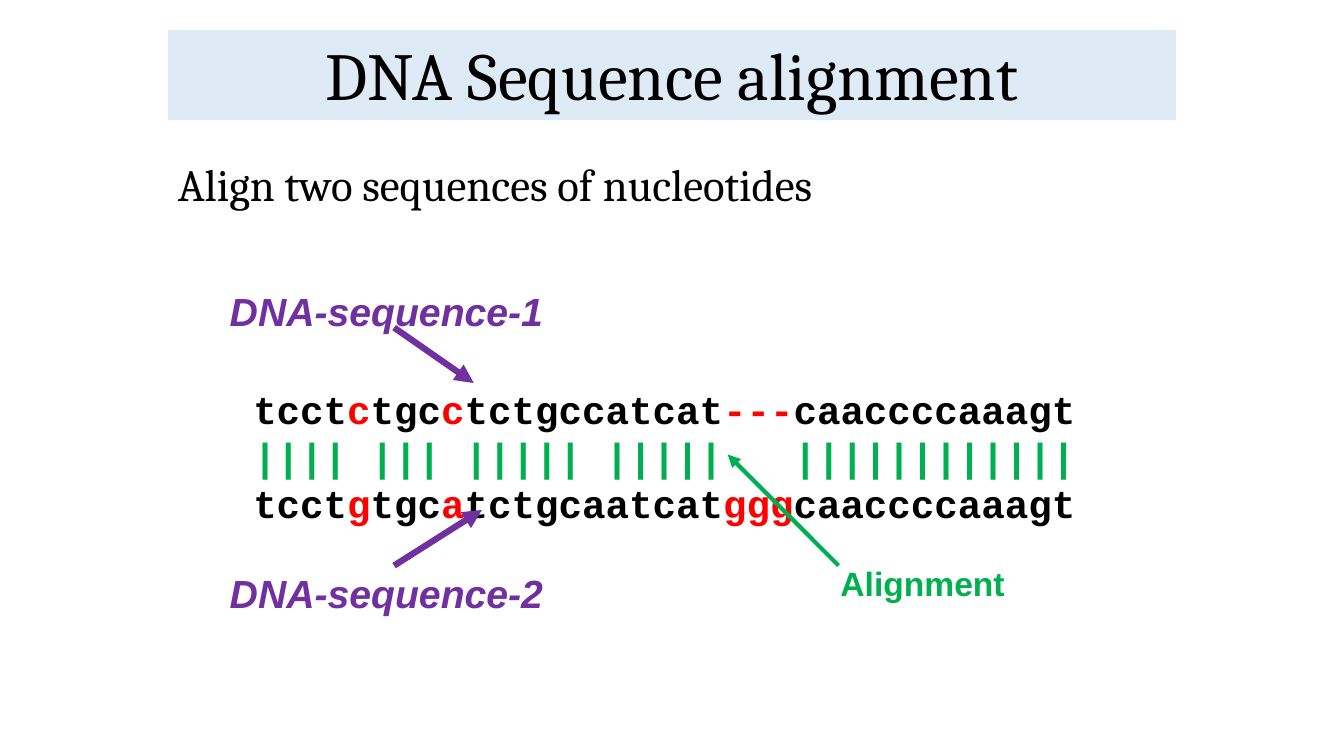
from itertools import groupby
from pptx import Presentation
from pptx.dml.color import RGBColor
from pptx.enum.shapes import MSO_CONNECTOR, MSO_SHAPE
from pptx.enum.text import MSO_ANCHOR, PP_ALIGN
from pptx.oxml.ns import qn
from pptx.util import Pt
from lxml.etree import SubElement

TITLE = "DNA Sequence alignment"
SUBTITLE = "Align two sequences of nucleotides"
LABELS = ["DNA-sequence-1", "DNA-sequence-2"]
ALIGNMENT_LABEL = "Alignment"
# Parts alternate between plain and highlighted
SEQUENCES = [
    ["tcct", "c", "tgc", "c", "tctgccatcat", "---", "caaccccaaagt"],
    ["tcct", "g", "tgc", "a", "tctgcaatcat", "ggg", "caaccccaaagt"],
]

THEME = {
    "black": RGBColor(0x00, 0x00, 0x00),
    "red": RGBColor(0xFF, 0x00, 0x00),
    "green": RGBColor(0x00, 0xB0, 0x50),
    "purple": RGBColor(0x70, 0x30, 0xA0),
    "band": RGBColor(0xDE, 0xEB, 0xF7),
    "serif": "Cambria", "sans": "Arial", "mono": "Courier New",
    "title": 48, "subtitle": 32, "sequence": 28, "note": 24,
}
LETTER_WIDTH = 0.6 * THEME["sequence"]
LINE_HEIGHT = 1.2 * THEME["sequence"]
GAP_BEFORE_SEQUENCES = 36
GAP_AFTER_SEQUENCES = 31

# Left, top, width, height
TITLE_BOX = (120, 21.6, 720, 64.2)
SUBTITLE_BOX = (120, 108.7, 508, 46)
ALIGNMENT_BOX = (157, 202, 646.6, 276.5)
NOTE_BOX = (593.3, 398.2, 133, 36.7)
# Start x, start y, end x, end y, colour, line width
ARROWS = [
    (281.5, 234, 338.4, 273.6, "purple", 4.5),
    (281.5, 404, 344.2, 364.3, "purple", 4.5),
    (599, 404, 519.8, 324.7, "green", 3),
]


def add_run(paragraph, text, size, font, color, bold=False, italic=False):
    run = paragraph.add_run()
    run.text = text
    run.font.size = Pt(THEME[size])
    run.font.name = THEME[font]
    run.font.color.rgb = THEME[color]
    run.font.bold = bold
    run.font.italic = italic
    return run


def add_text_box(slide, box, wrap):
    text_frame = slide.shapes.add_textbox(*map(Pt, box)).text_frame
    text_frame.word_wrap = wrap
    return text_frame


def add_title(slide):
    shape = slide.shapes.add_shape(MSO_SHAPE.RECTANGLE, *map(Pt, TITLE_BOX))
    shape.shadow.inherit = False
    shape.fill.solid()
    shape.fill.fore_color.rgb = THEME["band"]
    shape.line.fill.background()
    shape.text_frame.word_wrap = True
    shape.text_frame.vertical_anchor = MSO_ANCHOR.BOTTOM
    paragraph = shape.text_frame.paragraphs[0]
    paragraph.alignment = PP_ALIGN.CENTER
    paragraph.line_spacing = 0.9
    add_run(paragraph, TITLE, "title", "serif", "black")


def add_sequence(paragraph, parts):
    for index, part in enumerate(parts):
        color = "red" if index % 2 else "black"
        add_run(paragraph, part, "sequence", "mono", color, bold=True)


def add_match_bars(paragraph):
    """Mark equal letters with bars; one widened space spans each mismatch."""
    first, second = map("".join, SEQUENCES)
    pairs = zip(first, second)
    for matches, group in groupby(pairs, lambda pair: pair[0] == pair[1]):
        count = len(list(group))
        text = "|" * count if matches else " "
        run = add_run(paragraph, text, "sequence", "mono", "green", bold=True)
        if not matches and count > 1:
            spacing = round((count - 1) * LETTER_WIDTH * 100)
            run.font._element.set("spc", str(spacing))


def add_alignment(slide):
    text_frame = add_text_box(slide, ALIGNMENT_BOX, wrap=True)
    paragraphs = [text_frame.paragraphs[0]]
    paragraphs += [text_frame.add_paragraph() for _ in range(4)]
    for paragraph in paragraphs:
        paragraph.line_spacing = Pt(LINE_HEIGHT)
    top_label, top, bars, bottom, bottom_label = paragraphs
    for paragraph in (top, bars, bottom):
        paragraph._p.get_or_add_pPr().set("marL", str(Pt(LETTER_WIDTH)))
    top.space_before = Pt(GAP_BEFORE_SEQUENCES)
    bottom_label.space_before = Pt(GAP_AFTER_SEQUENCES)
    for paragraph, label in zip((top_label, bottom_label), LABELS):
        add_run(paragraph, label, "sequence", "sans", "purple", bold=True, italic=True)
    for paragraph, parts in zip((top, bottom), SEQUENCES):
        add_sequence(paragraph, parts)
    add_match_bars(bars)


def add_arrow(slide, start_x, start_y, end_x, end_y, color, width):
    ends = map(Pt, (start_x, start_y, end_x, end_y))
    connector = slide.shapes.add_connector(MSO_CONNECTOR.STRAIGHT, *ends)
    connector.line.color.rgb = THEME[color]
    connector.line.width = Pt(width)
    SubElement(connector.line._get_or_add_ln(), qn("a:tailEnd"), type="triangle")
    SubElement(connector._element.spPr, qn("a:effectLst"))


def main():
    presentation = Presentation()
    presentation.slide_width = Pt(960)
    presentation.slide_height = Pt(540)
    slide = presentation.slides.add_slide(presentation.slide_layouts[6])

    add_title(slide)
    add_alignment(slide)
    for arrow in ARROWS:
        add_arrow(slide, *arrow)
    note = add_text_box(slide, NOTE_BOX, wrap=False)
    add_run(note.paragraphs[0], ALIGNMENT_LABEL, "note", "sans", "green", bold=True)
    subtitle = add_text_box(slide, SUBTITLE_BOX, wrap=False)
    add_run(subtitle.paragraphs[0], SUBTITLE, "subtitle", "serif", "black")

    presentation.save("out.pptx")


if __name__ == "__main__":
    main()
